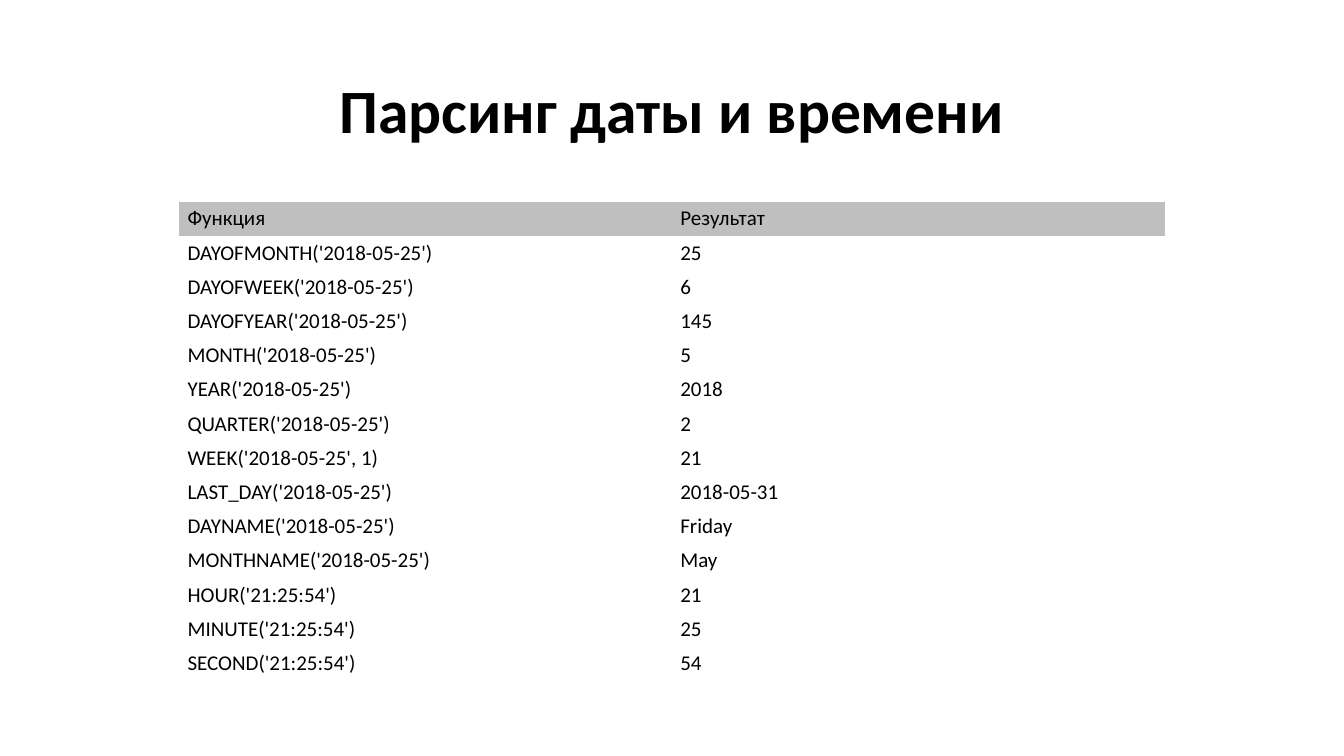
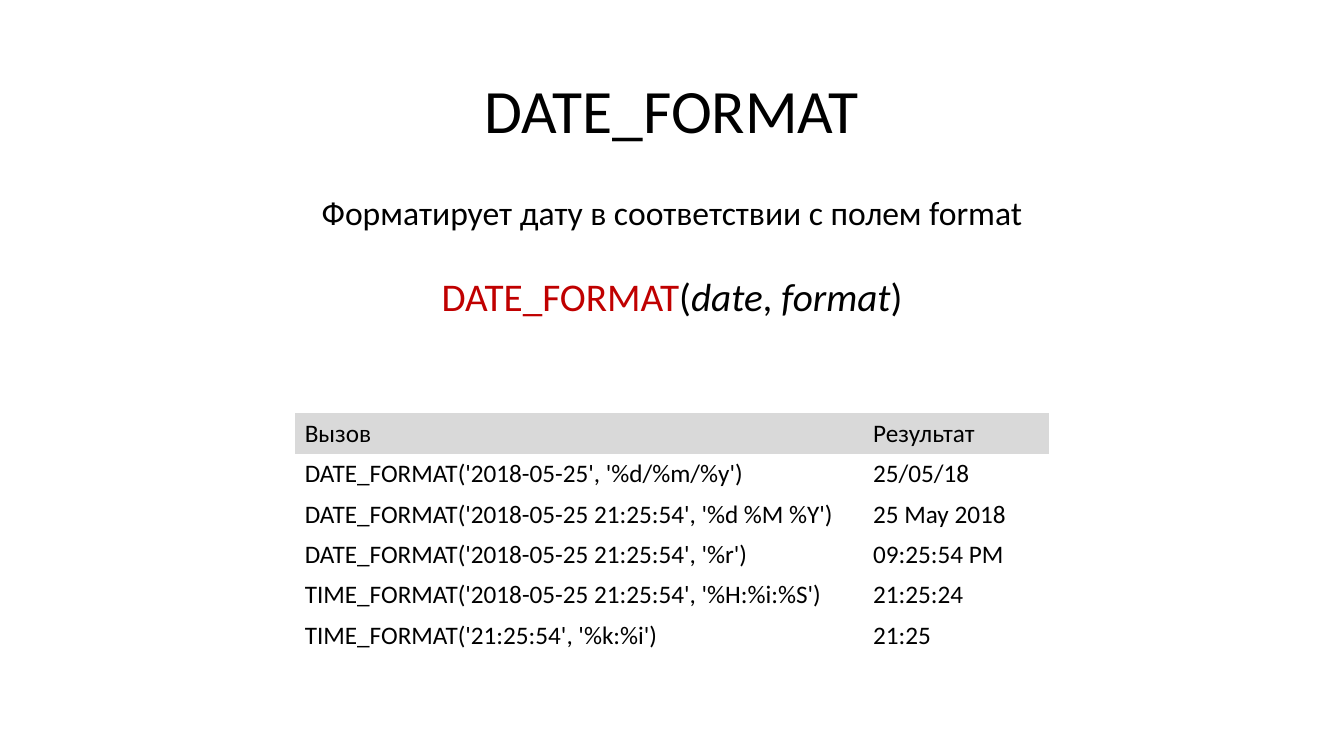
from dataclasses import dataclass

import pptx
import pptx.dml.color
import pptx.enum.text
import pptx.util

Pt = pptx.util.Pt
Align = pptx.enum.text.PP_ALIGN
Anchor = pptx.enum.text.MSO_ANCHOR
Fit = pptx.enum.text.MSO_AUTO_SIZE

FONT = "Calibri"
COLORS = {"ink": "000000", "red": "C00000", "gray": "BFBFBF", "pale": "D9D9D9"}
PLAIN = "{2D5ABB26-0587-4C30-8999-92F81FD0307C}"


@dataclass(frozen=True)
class Box:
    left: float
    top: float
    width: float
    height: float


@dataclass(frozen=True)
class Run:
    text: str
    color: str = "ink"
    italic: bool = False


@dataclass(frozen=True)
class Grid:
    left: float
    top: float
    widths: tuple[float, ...]
    height: float
    size: float
    head: str
    inset: tuple[float, float]
    rows: list[tuple[str, str]]


TITLE = Box(66, 28.8, 828, 104.4)


def paint(name: str) -> pptx.dml.color.RGBColor:
    return pptx.dml.color.RGBColor.from_string(COLORS[name])


def style(font, size: float, bold: bool = False) -> None:
    font.name = FONT
    font.size = Pt(size)
    font.bold = bold
    font.color.rgb = paint("ink")


def place(shape, box: Box) -> None:
    shape.left, shape.top = Pt(box.left), Pt(box.top)
    shape.width, shape.height = Pt(box.width), Pt(box.height)


def add_page(deck, text: str, bold: bool = False):
    page = deck.slides.add_slide(deck.slide_layouts[5])
    title = page.shapes.title
    place(title, TITLE)
    frame = title.text_frame
    frame.text = text
    frame.auto_size = Fit.NONE
    frame.vertical_anchor = Anchor.MIDDLE
    para = frame.paragraphs[0]
    para.alignment = Align.CENTER
    para.line_spacing = 0.9
    style(para.font, 44, bold)
    return page


def add_line(page, box: Box, size: float, runs: list[Run]) -> None:
    shape = page.shapes.add_textbox(
        Pt(box.left), Pt(box.top), Pt(box.width), Pt(box.height))
    frame = shape.text_frame
    frame.word_wrap = True
    frame.auto_size = Fit.SHAPE_TO_FIT_TEXT
    para = frame.paragraphs[0]
    para.alignment = Align.CENTER
    style(para.font, size)
    for part in runs:
        run = para.add_run()
        run.text = part.text
        run.font.name = FONT
        run.font.size = Pt(size)
        run.font.italic = part.italic
        run.font.color.rgb = paint(part.color)


def add_grid(page, grid: Grid) -> None:
    count = len(grid.rows)
    shape = page.shapes.add_table(
        count, len(grid.widths), Pt(grid.left), Pt(grid.top),
        Pt(sum(grid.widths)), Pt(grid.height * count))
    table = shape.table
    table.first_row = table.horz_banding = False
    shape._element.xpath(".//a:tableStyleId")[0].text = PLAIN
    for column, width in zip(table.columns, grid.widths):
        column.width = Pt(width)
    side, edge = grid.inset
    for r, texts in enumerate(grid.rows):
        table.rows[r].height = Pt(grid.height)
        for c, text in enumerate(texts):
            cell = table.cell(r, c)
            cell.text = text
            cell.vertical_anchor = Anchor.MIDDLE
            cell.margin_left = cell.margin_right = Pt(side)
            cell.margin_top = cell.margin_bottom = Pt(edge)
            style(cell.text_frame.paragraphs[0].font, grid.size)
            if r == 0:
                cell.fill.solid()
                cell.fill.fore_color.rgb = paint(grid.head)
            else:
                cell.fill.background()


PARTS = Grid(128, 144, (352, 352), 24.45, 15, "gray", (6, 3), [
    ("Функция", "Результат"),
    ("DAYOFMONTH('2018-05-25')", "25"),
    ("DAYOFWEEK('2018-05-25')", "6"),
    ("DAYOFYEAR('2018-05-25')", "145"),
    ("MONTH('2018-05-25')", "5"),
    ("YEAR('2018-05-25')", "2018"),
    ("QUARTER('2018-05-25')", "2"),
    ("WEEK('2018-05-25', 1)", "21"),
    ("LAST_DAY('2018-05-25')", "2018-05-31"),
    ("DAYNAME('2018-05-25')", "Friday"),
    ("MONTHNAME('2018-05-25')", "May"),
    ("HOUR('21:25:54')", "21"),
    ("MINUTE('21:25:54')", "25"),
    ("SECOND('21:25:54')", "54"),
])

CALLS = Grid(210.5, 295.2, (406, 132.5), 28.8, 18, "pale", (7.2, 3.6), [
    ("Вызов", "Результат"),
    ("DATE_FORMAT('2018-05-25', '%d/%m/%y')", "25/05/18"),
    ("DATE_FORMAT('2018-05-25 21:25:54', '%d %M %Y')", "25 May 2018"),
    ("DATE_FORMAT('2018-05-25 21:25:54', '%r')", "09:25:54 PM"),
    ("TIME_FORMAT('2018-05-25 21:25:54', '%H:%i:%S')", "21:25:24"),
    ("TIME_FORMAT('21:25:54', '%k:%i')", "21:25"),
])

SYNTAX = [
    Run("DATE_FORMAT", "red"),
    Run("("),
    Run("date", italic=True),
    Run(", "),
    Run("format", italic=True),
    Run(")"),
]


def main() -> None:
    deck = pptx.Presentation()
    deck.slide_width, deck.slide_height = Pt(960), Pt(540)

    page = add_page(deck, "Парсинг даты и времени", bold=True)
    add_grid(page, PARTS)

    page = add_page(deck, "DATE_FORMAT")
    add_line(page, Box(66, 133.2, 828, 36), 24,
             [Run("Форматирует дату в соответствии с полем format")])
    add_line(page, Box(300, 190.8, 360, 41), 28, SYNTAX)
    add_grid(page, CALLS)

    deck.save("out.pptx")


main()
